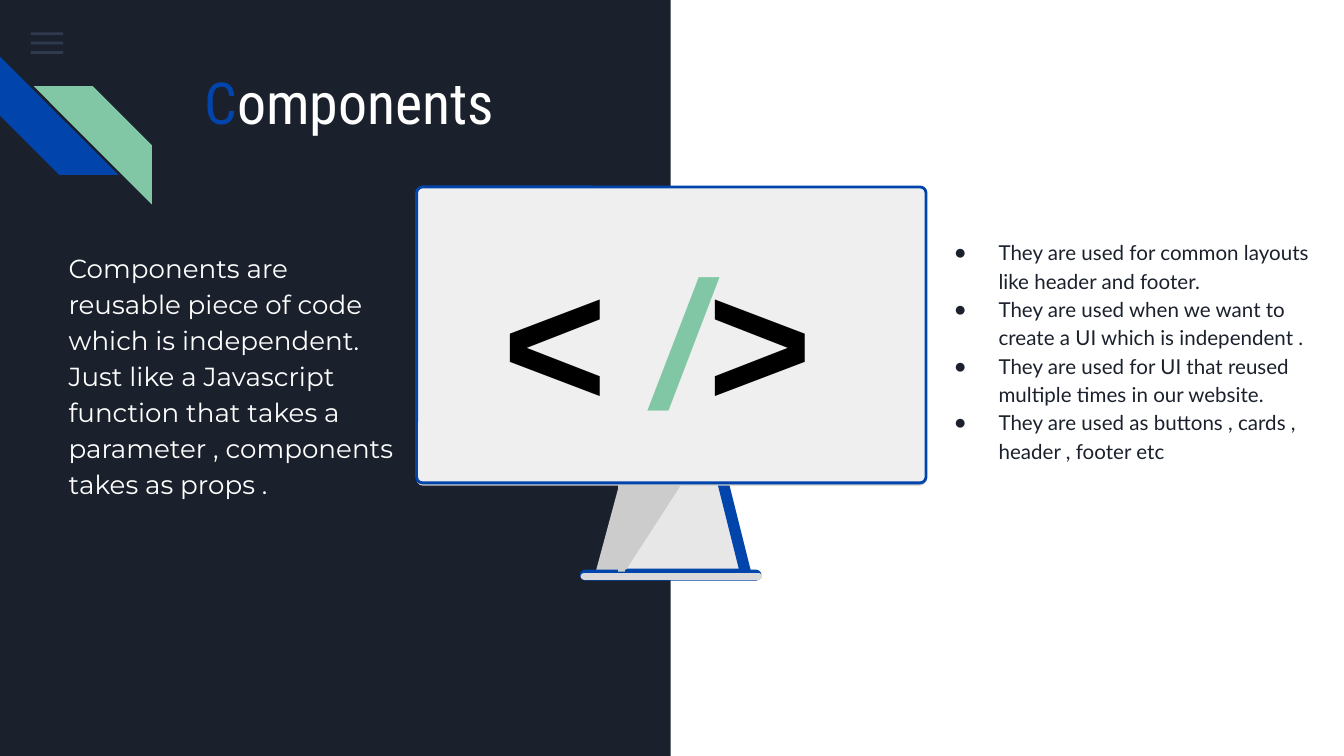
from pptx import Presentation
from pptx.dml.color import RGBColor
from pptx.enum.shapes import MSO_SHAPE
from pptx.enum.text import MSO_ANCHOR, MSO_AUTO_SIZE, PP_ALIGN
from pptx.oxml.ns import qn
from pptx.util import Inches, Pt
from lxml.etree import SubElement

WIDE = 10
HIGH = WIDE * 9 / 16
COLORS = {
    "navy": "1B212C", "white": "FFFFFF", "blue": "0145AC", "green": "82C7A5",
    "slate": "55688B", "stand": "E7E7E7", "shade": "CCCCCC", "base": "D9D9D9",
    "screen": "EFEFEF", "black": "000000",
}
INTRO = ("Components are reusable piece of code which is independent. Just like a "
         "Javascript function that takes a parameter , components takes as props .")
USES = [
    "They are used for common layouts like header and footer.",
    "They are used when we want to create a UI which is independent .",
    "They are used for UI that reused multiple times in our website.",
    "They are used as buttons , cards , header , footer etc",
]


def color(name):
    return RGBColor.from_string(COLORS[name])


def part(box, left, top, width, height):
    """Return a box inside another, given in percent of its size."""
    x, y, w, h = box
    return x + w * left / 100, y + h * top / 100, w * width / 100, h * height / 100


def draw(slide, kind, box, fill, line=None, weight=0, turn=0, adjust=None):
    shape = slide.shapes.add_shape(kind, *map(Inches, box))
    shape.shadow.inherit = False
    shape.fill.solid()
    shape.fill.fore_color.rgb = color(fill)
    if line:
        shape.line.color.rgb = color(line)
        shape.line.width = Pt(weight)
    else:
        shape.line.fill.background()
    shape.rotation = turn
    if adjust is not None:
        shape.adjustments[0] = adjust
    return shape


def setup(shape, box, anchor=MSO_ANCHOR.TOP):
    """Place a text shape in its box, with even insets."""
    shape.left, shape.top, shape.width, shape.height = map(Inches, box)
    frame = shape.text_frame
    frame.word_wrap = True
    frame.auto_size = MSO_AUTO_SIZE.NONE
    frame.vertical_anchor = anchor
    frame.margin_left = frame.margin_right = Inches(0.1)
    frame.margin_top = frame.margin_bottom = Inches(0.1)
    return frame


def style(font, face, size, tint):
    font.name, font.size = face, Pt(size)
    font.color.rgb = color(tint)


def add_runs(para, pieces, face, size):
    for text, tint in pieces:
        run = para.add_run()
        run.text = text
        style(run.font, face, size, tint)


def menu(slide, box):
    for row in range(3):
        bar = draw(slide, MSO_SHAPE.RECTANGLE, part(box, 0, row * 43.75, 100, 12.5), "slate")
        tint = bar.fill._xPr.find(qn("a:solidFill"))[0]
        SubElement(tint, qn("a:alpha")).set("val", "36000")


def stripes(slide, box):
    stripe = MSO_SHAPE.DIAGONAL_STRIPE
    draw(slide, stripe, part(box, 0, 0, 77.88, 80), "blue", turn=270, adjust=0.5)
    green = draw(slide, stripe, part(box, 22.12, 20, 77.88, 80), "green", adjust=0.5)
    green._element.spPr.find(qn("a:xfrm")).set("flipH", "1")


def title(shape, box):
    para = setup(shape, box, MSO_ANCHOR.MIDDLE).paragraphs[0]
    para.alignment = PP_ALIGN.LEFT
    add_runs(para, [("C", "blue"), ("omponents", "white")], "Roboto Condensed", 31)


def body(shape, box, lines, face, size, tint, bullet=False):
    frame = setup(shape, box)
    frame.text = "\n".join(lines)
    for para in frame.paragraphs:
        para.line_spacing = 1.15
        para.space_before = para.space_after = Pt(0)
        props = para._p.get_or_add_pPr()
        props.set("marL", str(Inches(0.5 if bullet else 0)))
        props.set("indent", str(Inches(-0.33 if bullet else 0)))
        if bullet:
            dye = SubElement(props, qn("a:buClr"))
            SubElement(dye, qn("a:srgbClr")).set("val", COLORS[tint])
            SubElement(props, qn("a:buChar")).set("char", "●")
        else:
            SubElement(props, qn("a:buNone"))
        for run in para.runs:
            style(run.font, face, size, tint)


def screen(slide, box):
    """Draw a monitor on its stand with a code tag on it."""
    rect, cone, pill = MSO_SHAPE.RECTANGLE, MSO_SHAPE.ISOSCELES_TRIANGLE, MSO_SHAPE.ROUNDED_RECTANGLE
    draw(slide, MSO_SHAPE.TRAPEZOID, part(box, 37.47, 73.63, 27.18, 25), "stand", "blue", 6, adjust=0.25)
    draw(slide, cone, part(box, 40.37, 75.68, 11.61, 22.6), "shade", turn=180, adjust=0.97)
    draw(slide, cone, part(box, 35.09, 75.68, 4.75, 22.6), "shade", adjust=0.99)
    draw(slide, pill, part(box, 32.45, 97.95, 34.83, 1.71), "white", "blue", 2.25, turn=180, adjust=0.5)
    draw(slide, pill, part(box, 32.19, 98.29, 35.62, 1.71), "base", turn=180, adjust=0.5)
    draw(slide, rect, part(box, 39.58, 75.68, 1.32, 22.26), "shade")
    draw(slide, pill, part(box, 0, 0.68, 100, 75.34), "shade", adjust=0.02)
    draw(slide, pill, part(box, 0, 0, 100, 75.34), "screen", "blue", 1.5, adjust=0.02)


def code(slide, box):
    label = slide.shapes.add_textbox(*map(Inches, box))
    para = setup(label, box).paragraphs[0]
    add_runs(para, [("< ", "black"), ("/", "green"), (">", "black")], "Arial", 96)
    for run in para.runs:
        run.font.bold = run.font.italic = True


def main():
    deck = Presentation()
    deck.slide_width, deck.slide_height = Inches(WIDE), Inches(HIGH)
    slide = deck.slides.add_slide(deck.slide_layouts.get_by_name("Two Content"))
    slide.background.fill.solid()
    slide.background.fill.fore_color.rgb = color("navy")
    page = (0, 0, WIDE, HIGH)
    holders = list(slide.placeholders)
    head, left, right = holders[:3]

    draw(slide, MSO_SHAPE.RECTANGLE, part(page, 49.9, 0, 50.1, 100), "white")
    menu(slide, part(page, 2.3, 4.27, 2.4, 2.85))
    stripes(slide, part(page, 0, 7.47, 11.3, 19.57))
    for holder in holders:  # bring text in front of the panels
        slide.shapes._spTree.append(holder._element)
    title(head, part(page, 14.2, 6.94, 77, 12.81))
    body(left, part(page, 4.1, 30.96, 26.4, 36.65), [INTRO], "Montserrat", 14, "white")
    body(right, part(page, 68.3, 29.54, 30.6, 35.05), USES, "Lato", 11, "navy", bullet=True)
    screen(slide, part(page, 31, 24.73, 37.9, 51.96))
    code(slide, part(page, 36.2, 28.44, 25.2, 32.36))
    deck.save("out.pptx")


if __name__ == "__main__":
    main()
